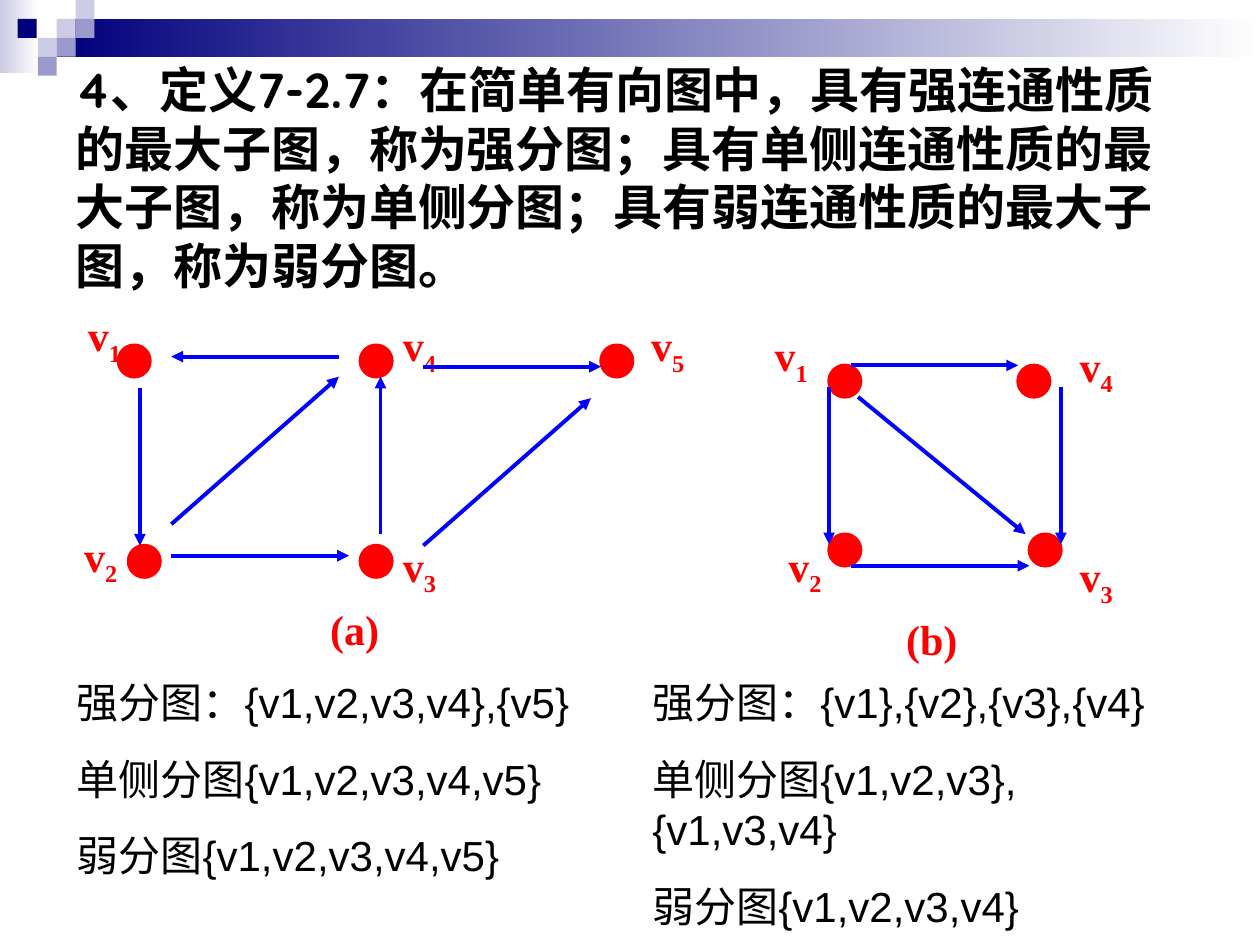
from lxml import etree
from pptx import Presentation
from pptx.dml.color import RGBColor
from pptx.enum import shapes, text
from pptx.oxml import ns
from pptx.util import Inches, Pt

NAVY = RGBColor(0x00, 0x00, 0x7D)
LAVENDER = RGBColor(0xCC, 0xCC, 0xE6)
PERIWINKLE = RGBColor(0x99, 0x99, 0xCC)
WHITE = RGBColor(0xFF, 0xFF, 0xFF)
BLACK = RGBColor(0x00, 0x00, 0x00)
RED = RGBColor(0xFF, 0x00, 0x00)
BLUE = RGBColor(0x00, 0x00, 0xFF)

presentation = Presentation()
presentation.slide_width, presentation.slide_height = Inches(10), Inches(7.5)
slide = presentation.slides.add_slide(presentation.slide_layouts[1])


def add_plain_shape(kind, left, top, width, height):
    shape = slide.shapes.add_shape(
        kind, Inches(left), Inches(top), Inches(width), Inches(height))
    shape.shadow.inherit = False
    shape.line.fill.background()
    return shape


def add_text(left, top, width, height, lines, font_name, color, bold=False):
    box = slide.shapes.add_textbox(
        Inches(left), Inches(top), Inches(width), Inches(height))
    frame = box.text_frame
    frame.word_wrap = True
    frame.text = "\n".join(lines)
    for number, paragraph in enumerate(frame.paragraphs):
        paragraph.space_before = Pt(15 if number else 0)
        font = paragraph.font
        font.name, font.size, font.bold = font_name, Pt(24), bold
        font.color.rgb = color
    return frame.paragraphs[0]


# Banner: two gradient bars and a mosaic of small squares
for left, top, width, height, start in (
        (0, 0, 0.31, 0.58, LAVENDER), (0.45, 0.15, 9.55, 0.3, NAVY)):
    bar = add_plain_shape(shapes.MSO_SHAPE.RECTANGLE, left, top, width, height)
    bar.fill.gradient()
    bar.fill.gradient_angle = 0
    for stop, color, position in zip(bar.fill.gradient_stops, (start, WHITE), (0, 1)):
        stop.color.rgb = color
        stop.position = position

for left, top, color in (
        (0.45, 0.15, LAVENDER), (0.6, 0, LAVENDER), (0.6, 0.15, PERIWINKLE),
        (0.3, 0.3, LAVENDER), (0.14, 0.15, NAVY), (0.45, 0.3, PERIWINKLE),
        (0.3, 0.45, PERIWINKLE)):
    square = add_plain_shape(shapes.MSO_SHAPE.RECTANGLE, left, top, 0.15, 0.15)
    square.fill.solid()
    square.fill.fore_color.rgb = color

# Definition in the body placeholder; the title placeholder is not used
title = slide.shapes.title.element
title.getparent().remove(title)
definition = slide.placeholders[1]
definition.left, definition.top = Inches(0.5), Inches(0.42)
definition.width, definition.height = Inches(9.08), Inches(2.75)
definition.text_frame.text = (
    "4、定义7-2.7：在简单有向图中，具有强连通性质的最大子图，称为强分图；"
    "具有单侧连通性质的最大子图，称为单侧分图；具有弱连通性质的最大子图，称为弱分图。")
paragraph = definition.text_frame.paragraphs[0]
properties = paragraph._p.get_or_add_pPr()
properties.set("marL", "0")
properties.set("indent", "0")
etree.SubElement(properties, ns.qn("a:buNone"))
paragraph.space_before = Pt(0)
font = paragraph.runs[0].font
font.name, font.size, font.bold = "Quicksand", Pt(28), True
font.color.rgb = BLACK

# Graphs: nodes (left, top), labels (number, left, top),
# edges (from x, from y, to x, to y) and caption (text, left, top, width)
graphs = (
    {"nodes": ((6.58, 2.9), (8.08, 2.9), (6.58, 4.24), (8.17, 4.24)),
     "labels": ((1, 6, 2.57), (2, 6.11, 4.24), (3, 8.42, 4.32), (4, 8.42, 2.65)),
     "edges": ((6.58, 3.07, 6.58, 4.32), (8.42, 3.07, 8.42, 4.32),
               (6.75, 4.49, 8.17, 4.49), (6.75, 2.9, 8.08, 2.9),
               (6.81, 3.15, 8.14, 4.24)),
     "caption": ("(b)", 6.31, 4.82, 2.17)},
    {"nodes": ((0.94, 2.74), (2.86, 2.74), (4.77, 2.74), (1.02, 4.33), (2.86, 4.33)),
     "labels": ((1, 0.55, 2.41), (2, 0.52, 4.16), (3, 3.05, 4.24),
                (4, 3.05, 2.49), (5, 5.02, 2.49)),
     "edges": ((1.11, 3.08, 1.11, 4.33), (3.02, 4.24, 3.02, 2.99),
               (1.36, 4.41, 2.77, 4.41), (2.69, 2.83, 1.36, 2.83),
               (3.36, 2.91, 4.77, 2.91), (1.36, 4.16, 2.69, 2.99),
               (3.36, 4.33, 4.69, 3.16)),
     "caption": ("(a)", 1.94, 4.74, 1.75)},
)
for graph in graphs:
    for left, top in graph["nodes"]:
        node = add_plain_shape(shapes.MSO_SHAPE.OVAL, left, top, 0.25, 0.25)
        node.fill.solid()
        node.fill.fore_color.rgb = RED
        node.line.color.rgb = RED
        node.line.width = Pt(2)

    for number, left, top in graph["labels"]:
        paragraph = add_text(left, top, 0.56, 0.56, ["v"], "Times New Roman", RED, True)
        paragraph.alignment = text.PP_ALIGN.CENTER
        subscript = paragraph.add_run()
        subscript.text = str(number)
        subscript.font._element.set("baseline", "-25000")

    for edge in graph["edges"]:
        arrow = slide.shapes.add_connector(
            shapes.MSO_CONNECTOR.STRAIGHT, *(Inches(value) for value in edge))
        arrow.line.color.rgb = BLUE
        arrow.line.width = Pt(2.25)
        etree.SubElement(arrow.line._get_or_add_ln(), ns.qn("a:tailEnd"), type="triangle")
        etree.SubElement(arrow._element.spPr, ns.qn("a:effectLst"))

    caption, left, top, width = graph["caption"]
    paragraph = add_text(left, top, width, 0.5, [caption], "Times New Roman", RED, True)
    paragraph.alignment = text.PP_ALIGN.CENTER

# Components of each graph
add_text(0.51, 5.32, 4.49, 1.72,
         ["强分图：{v1,v2,v3,v4},{v5}", "单侧分图{v1,v2,v3,v4,v5}", "弱分图{v1,v2,v3,v4,v5}"],
         "Arial", BLACK)
add_text(5.08, 5.32, 4.49, 2.12,
         ["强分图：{v1},{v2},{v3},{v4}", "单侧分图{v1,v2,v3},{v1,v3,v4}", "弱分图{v1,v2,v3,v4}"],
         "Arial", BLACK)

presentation.save("out.pptx")
